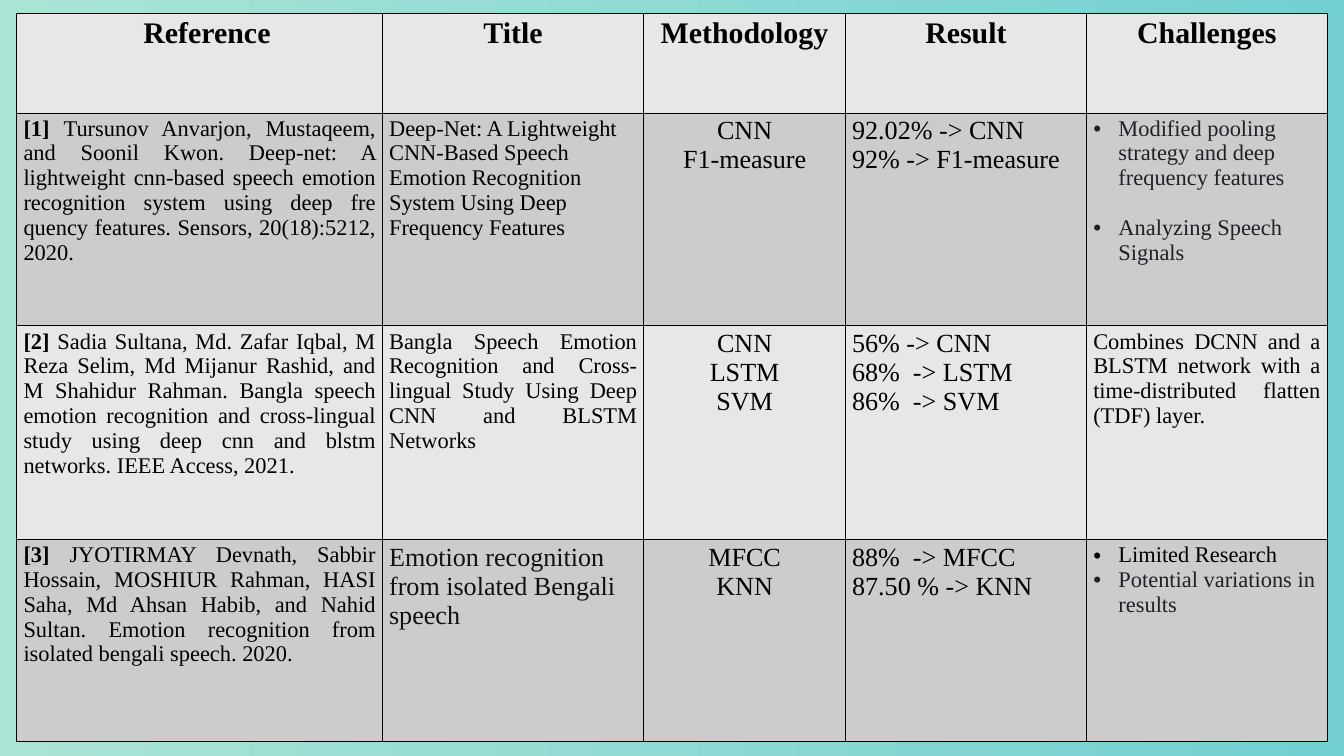
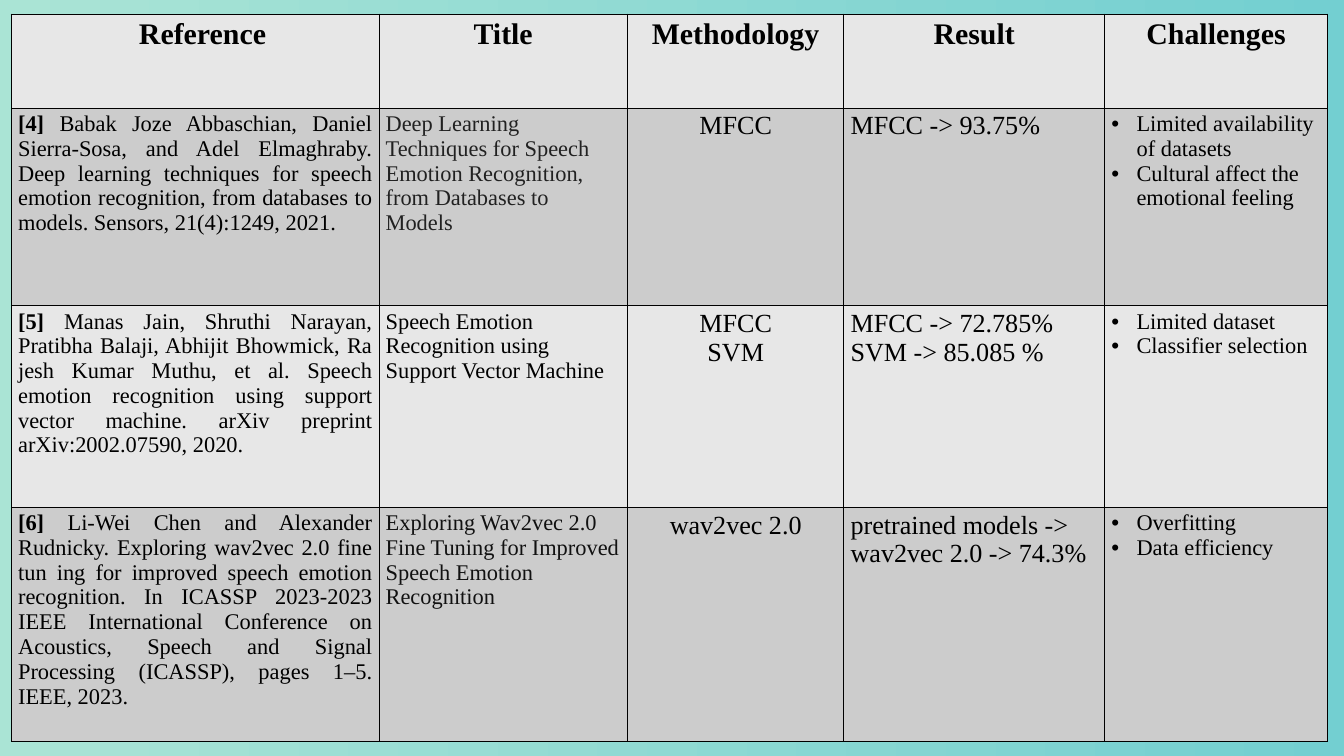
import pptx
import pptx.util
import pptx.dml.color
import pptx.enum.text
import pptx.oxml
import pptx.oxml.ns

Pt = pptx.util.Pt
ALIGN = pptx.enum.text.PP_ALIGN
FACE = "Times New Roman"
BLACK, DARK, SOFT, GREY = "000000", "111111", "212121", "202124"
BANDS = ["E7E7E7", "CCCCCC"]
SKY = ["AAE4D5", "73CFD1"]

HEADS = ["Reference", "Title", "Methodology", "Result", "Challenges"]
COLS = [
    {"size": 24, "align": ALIGN.JUSTIFY},
    {"size": 24, "align": ALIGN.LEFT},
    {"size": 28, "align": ALIGN.CENTER},
    {"size": 28, "align": ALIGN.LEFT},
    {"size": 24, "align": ALIGN.LEFT, "bullet": True},
]

PAGES = [
    {
        "at": (18, 14.4),
        "wide": [391.7, 280.1, 216, 258.4, 257.8],
        "high": [106.6, 228.2, 229, 216],
        "rows": [
            [
                ["Tursunov Anvarjon, Mustaqeem, and Soonil Kwon. Deep-net: A lightweight cnn-based speech emotion recognition system using deep fre quency features. Sensors, 20(18):5212, 2020."],
                ["Deep-Net: A Lightweight CNN-Based Speech Emotion Recognition System Using Deep Frequency Features"],
                ["CNN", "F1-measure"],
                ["92.02% -> CNN", "92% -> F1-measure"],
                [("Modified pooling strategy and deep frequency features", {"ink": GREY}),
                 ("Analyzing Speech Signals", {"ink": GREY, "gap": 26.6})],
            ],
            [
                ["Sadia Sultana, Md. Zafar Iqbal, M Reza Selim, Md Mijanur Rashid, and M Shahidur Rahman. Bangla speech emotion recognition and cross-lingual study using deep cnn and blstm networks. IEEE Access, 2021."],
                [("Bangla Speech Emotion Recognition and Cross-lingual Study Using Deep CNN and BLSTM Networks",
                  {"align": ALIGN.JUSTIFY})],
                ["CNN", "LSTM", "SVM"],
                ["56% -> CNN", "68%  -> LSTM", "86%  -> SVM"],
                [("Combines DCNN and a BLSTM network with a time-distributed flatten (TDF) layer.",
                  {"align": ALIGN.JUSTIFY, "bullet": False})],
            ],
            [
                ["JYOTIRMAY Devnath, Sabbir Hossain, MOSHIUR Rahman, HASI Saha, Md Ahsan Habib, and Nahid Sultan. Emotion recognition from isolated bengali speech. 2020."],
                [("Emotion recognition from isolated Bengali speech", {"size": 28, "ink": DARK})],
                ["MFCC", "KNN"],
                ["88%  -> MFCC", "87.50 % -> KNN"],
                ["Limited Research", ("Potential variations in results", {"ink": GREY})],
            ],
        ],
    },
    {
        "at": (12.2, 15.1),
        "wide": [393.8, 266.4, 231.8, 279.4, 239],
        "high": [100.8, 211.7, 216, 250.6],
        "rows": [
            [
                ["Babak Joze Abbaschian, Daniel Sierra-Sosa, and Adel Elmaghraby. Deep learning techniques for speech emotion recognition, from databases to models. Sensors, 21(4):1249, 2021."],
                [("Deep Learning Techniques for Speech Emotion Recognition, from Databases to Models", {"ink": SOFT})],
                ["MFCC"],
                ["MFCC -> 93.75%"],
                ["Limited availability of datasets", "Cultural affect the emotional feeling"],
            ],
            [
                ["Manas Jain, Shruthi Narayan, Pratibha Balaji, Abhijit Bhowmick, Ra jesh Kumar Muthu, et al. Speech emotion recognition using support vector machine. arXiv preprint arXiv:2002.07590, 2020."],
                ["Speech Emotion Recognition using Support Vector Machine"],
                ["MFCC", "SVM"],
                ["MFCC -> 72.785%", "SVM -> 85.085 %"],
                ["Limited dataset", "Classifier selection"],
            ],
            [
                ["Li-Wei Chen and Alexander Rudnicky. Exploring wav2vec 2.0 fine tun ing for improved speech emotion recognition. In ICASSP 2023-2023 IEEE International Conference on Acoustics, Speech and Signal Processing (ICASSP), pages 1–5. IEEE, 2023."],
                [("Exploring Wav2vec 2.0 Fine Tuning for Improved Speech Emotion Recognition", {"ink": DARK})],
                ["wav2vec 2.0"],
                ["pretrained models -> wav2vec 2.0 -> 74.3%"],
                ["Overfitting", "Data efficiency"],
            ],
        ],
    },
]


def color(code):
    return pptx.dml.color.RGBColor.from_string(code)


def node(tag, inner=""):
    space = pptx.oxml.ns.nsdecls("a")
    name = tag.split()[0]
    return pptx.oxml.parse_xml(f"<a:{tag} {space}>{inner}</a:{name}>")


def add_dot(para):
    props = para._p.get_or_add_pPr()
    props.set("marL", str(Pt(27)))
    props.set("indent", str(-Pt(27)))
    props.append(node('buFont typeface="Arial"'))
    props.append(node('buChar char="•"'))


def style(run, size, ink, bold):
    run.font.name = FACE
    run.font.size = Pt(size)
    run.font.color.rgb = color(ink)
    run.font.bold = bold


def write(cell, lines, base, label=""):
    frame = cell.text_frame
    for i, line in enumerate(lines):
        text, extra = line if isinstance(line, tuple) else (line, {})
        look = {"ink": BLACK, "bold": False, **base, **extra}
        para = frame.paragraphs[0] if i == 0 else frame.add_paragraph()
        para.text = label or text
        if label:
            para.add_run().text = text
        para.alignment = look["align"]
        if "gap" in look:
            para.space_before = Pt(look["gap"])
        if look.get("bullet"):
            add_dot(para)
        for run in para.runs:
            style(run, look["size"], look["ink"], look["bold"])
        if label:
            para.runs[0].font.bold = True


def dress(cell, fill):
    props = cell._tc.get_or_add_tcPr()
    for side in "LRTB":
        props.append(node(f'ln{side} w="{Pt(1)}"',
                          f'<a:solidFill><a:srgbClr val="{BLACK}"/></a:solidFill>'))
    cell.fill.solid()
    cell.fill.fore_color.rgb = color(fill)


def add_grid(slide, page, first):
    wide, high = page["wide"], page["high"]
    left, top = page["at"]
    grid = slide.shapes.add_table(len(high), len(wide), Pt(left), Pt(top),
                                  Pt(sum(wide)), Pt(sum(high))).table
    grid.first_row = grid.horz_banding = False
    for col, size in zip(grid.columns, wide):
        col.width = Pt(size)
    for r, size in enumerate(high):
        grid.rows[r].height = Pt(size)
        for c, base in enumerate(COLS):
            cell = grid.cell(r, c)
            dress(cell, BANDS[r % 2])
            if r == 0:
                write(cell, [HEADS[c]], {"size": 32, "bold": True, "align": ALIGN.CENTER})
            else:
                label = f"[{first + r - 1}] " if c == 0 else ""
                write(cell, page["rows"][r - 1][c], base, label)
    grid.cell(0, 0).margin_left = Pt(23.2)


def main():
    deck = pptx.Presentation()
    deck.slide_width, deck.slide_height = Pt(1440), Pt(810)
    back = deck.slide_master.background.fill
    back.gradient()
    back.gradient_angle = 0
    for stop, code in zip(back.gradient_stops, SKY):
        stop.color.rgb = color(code)
    first = 1
    for page in PAGES:
        slide = deck.slides.add_slide(deck.slide_layouts[6])
        add_grid(slide, page, first)
        first += len(page["rows"])
    deck.save("out.pptx")


if __name__ == "__main__":
    main()
